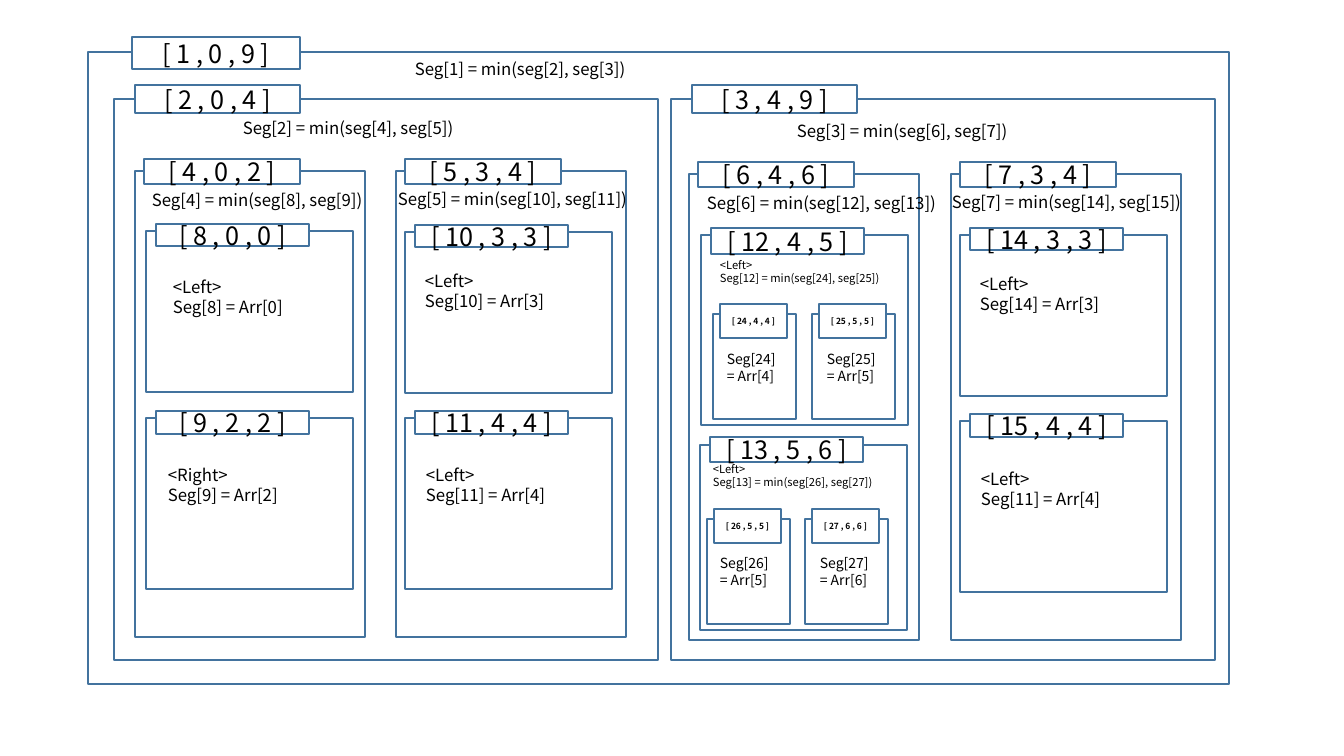
from dataclasses import dataclass
from typing import NamedTuple

from pptx import Presentation
from pptx.dml.color import RGBColor
from pptx.enum.shapes import MSO_SHAPE
from pptx.enum.text import MSO_ANCHOR, MSO_AUTO_SIZE, PP_ALIGN
from pptx.shapes.autoshape import Shape
from pptx.slide import Slide
from pptx.text.text import TextFrame
from pptx.util import Emu, Pt

EMU_PER_PIXEL = 914400 / 100.8
FONT = "Noto Sans CJK KR"
BLACK = RGBColor(0x00, 0x00, 0x00)
WHITE = RGBColor(0xFF, 0xFF, 0xFF)
BLUE = RGBColor(0x43, 0x73, 0x9E)


@dataclass(frozen=True)
class Level:
    """Sizes shared by tree nodes: the frame, and the tag placed relative to it."""
    width: int
    height: int
    tag_dx: int
    tag_dy: int
    tag_width: int
    tag_height: int
    tag_size: int = 18
    tag_bold: bool = False


class Node(NamedTuple):
    """A segment tree node: its number, its range and the corner of its frame."""
    level: Level
    number: int
    start: int
    end: int
    x: int
    y: int


class NoteStyle(NamedTuple):
    """Box size and text setting of a note."""
    width: int
    height: int
    size: int
    wrap: bool = False


class Note(NamedTuple):
    """A text and the corner of its box."""
    style: NoteStyle
    text: str
    x: int
    y: int


ROOT = Level(1141, 632, 44, -15, 168, 32)
HALF = Level(544, 561, 21, -14, 165, 28)
QUARTER = Level(230, 466, 9, -12, 156, 25)
UPPER_LEAF = Level(207, 161, 10, -7, 153, 22)
LOWER_LEAF = Level(207, 171, 10, -7, 153, 23)
UPPER_BRANCH = Level(207, 190, 10, -7, 153, 26)
LOWER_BRANCH = Level(207, 185, 10, -8, 153, 25)
SMALL_LEAF = Level(83, 105, 7, -10, 67, 34, 6, True)

NODES = [
    Node(ROOT, 1, 0, 9, 88, 52),
    Node(HALF, 2, 0, 4, 114, 99),
    Node(HALF, 3, 4, 9, 671, 99),
    Node(QUARTER, 4, 0, 2, 135, 171),
    Node(QUARTER, 5, 3, 4, 396, 171),
    Node(QUARTER, 6, 4, 6, 689, 174),
    Node(QUARTER, 7, 3, 4, 951, 174),
    Node(UPPER_LEAF, 8, 0, 0, 146, 231),
    Node(LOWER_LEAF, 9, 2, 2, 146, 418),
    Node(UPPER_LEAF, 10, 3, 3, 405, 232),
    Node(LOWER_LEAF, 11, 4, 4, 405, 418),
    Node(UPPER_BRANCH, 12, 4, 5, 701, 235),
    Node(LOWER_BRANCH, 13, 5, 6, 700, 445),
    Node(UPPER_LEAF, 14, 3, 3, 960, 235),
    Node(LOWER_LEAF, 15, 4, 4, 960, 421),
    Node(SMALL_LEAF, 24, 4, 4, 713, 314),
    Node(SMALL_LEAF, 25, 5, 5, 812, 314),
    Node(SMALL_LEAF, 26, 5, 5, 707, 519),
    Node(SMALL_LEAF, 27, 6, 6, 805, 519),
]

FORMULA = NoteStyle(234, 30, 12)
LONG_FORMULA = NoteStyle(253, 30, 12)
SMALL_FORMULA = NoteStyle(180, 37, 8, True)
SHORT_VALUE = NoteStyle(135, 50, 12)
VALUE = NoteStyle(144, 50, 12)
SMALL_VALUE = NoteStyle(72, 44, 10, True)


def minimum(number: int) -> str:
    """Return the formula that joins the two children of a node."""
    return f"Seg[{number}] = min(seg[{2 * number}], seg[{2 * number + 1}])"


def value(number: int, index: int) -> str:
    """Return the array element held by a leaf."""
    return f"Seg[{number}] = Arr[{index}]"


LEFT = "<Left>\v"
RIGHT = "<Right>\v"

NOTES = [
    Note(FORMULA, minimum(1), 405, 54),
    Note(FORMULA, minimum(2), 233, 113),
    Note(FORMULA, minimum(3), 787, 116),
    Note(FORMULA, minimum(4), 142, 185),
    Note(LONG_FORMULA, minimum(5), 388, 184),
    Note(LONG_FORMULA, minimum(6), 697, 188),
    Note(LONG_FORMULA, minimum(7), 942, 187),
    Note(SMALL_FORMULA, LEFT + minimum(12), 710, 253),
    Note(SMALL_FORMULA, LEFT + minimum(13), 703, 457),
    Note(SHORT_VALUE, LEFT + value(8, 0), 163, 272),
    Note(SHORT_VALUE, RIGHT + value(9, 2), 158, 460),
    Note(VALUE, LEFT + value(10, 3), 415, 266),
    Note(VALUE, LEFT + value(11, 4), 416, 460),
    Note(VALUE, LEFT + value(14, 3), 970, 269),
    Note(VALUE, LEFT + value(11, 4), 971, 464),
    Note(SMALL_VALUE, value(24, 4), 717, 346),
    Note(SMALL_VALUE, value(25, 5), 817, 346),
    Note(SMALL_VALUE, value(26, 5), 710, 550),
    Note(SMALL_VALUE, value(27, 6), 810, 550),
]


def px(pixels: int) -> Emu:
    """Turn pixels into EMU."""
    return Emu(round(pixels * EMU_PER_PIXEL))


def write(frame: TextFrame, text: str, size: int, bold: bool = False) -> None:
    """Put one black paragraph into a text frame."""
    frame.text = text
    font = frame.paragraphs[0].font
    font.name, font.size, font.bold = FONT, Pt(size), bold
    font.color.rgb = BLACK


def add_box(slide: Slide, x: int, y: int, width: int, height: int) -> Shape:
    """Add an unfilled rectangle with a blue outline."""
    box = slide.shapes.add_shape(
        MSO_SHAPE.RECTANGLE, px(x), px(y), px(width), px(height))
    box.shadow.inherit = False
    box.fill.background()
    box.line.color.rgb = BLUE
    box.line.width = Pt(1)
    return box


def add_node(slide: Slide, node: Node) -> None:
    """Draw the frame of a node and the tag on its upper edge."""
    level = node.level
    add_box(slide, node.x, node.y, level.width, level.height)
    tag = add_box(slide, node.x + level.tag_dx, node.y + level.tag_dy,
                  level.tag_width, level.tag_height)
    tag.fill.solid()
    tag.fill.fore_color.rgb = WHITE
    label = f"[ {node.number} , {node.start} , {node.end} ]"
    write(tag.text_frame, label, level.tag_size, level.tag_bold)
    tag.text_frame.vertical_anchor = MSO_ANCHOR.MIDDLE
    tag.text_frame.paragraphs[0].alignment = PP_ALIGN.CENTER


def add_note(slide: Slide, note: Note) -> None:
    """Draw a formula or a value as a text box."""
    style = note.style
    frame = slide.shapes.add_textbox(
        px(note.x), px(note.y), px(style.width), px(style.height)).text_frame
    frame.word_wrap = style.wrap
    frame.auto_size = MSO_AUTO_SIZE.SHAPE_TO_FIT_TEXT
    write(frame, note.text, style.size)


def main() -> None:
    """Build the segment tree slide."""
    deck = Presentation()
    deck.slide_width, deck.slide_height = px(1344), px(756)
    slide = deck.slides.add_slide(deck.slide_layouts[6])
    for node in NODES:
        add_node(slide, node)
    for note in NOTES:
        add_note(slide, note)
    deck.save("out.pptx")


main()
